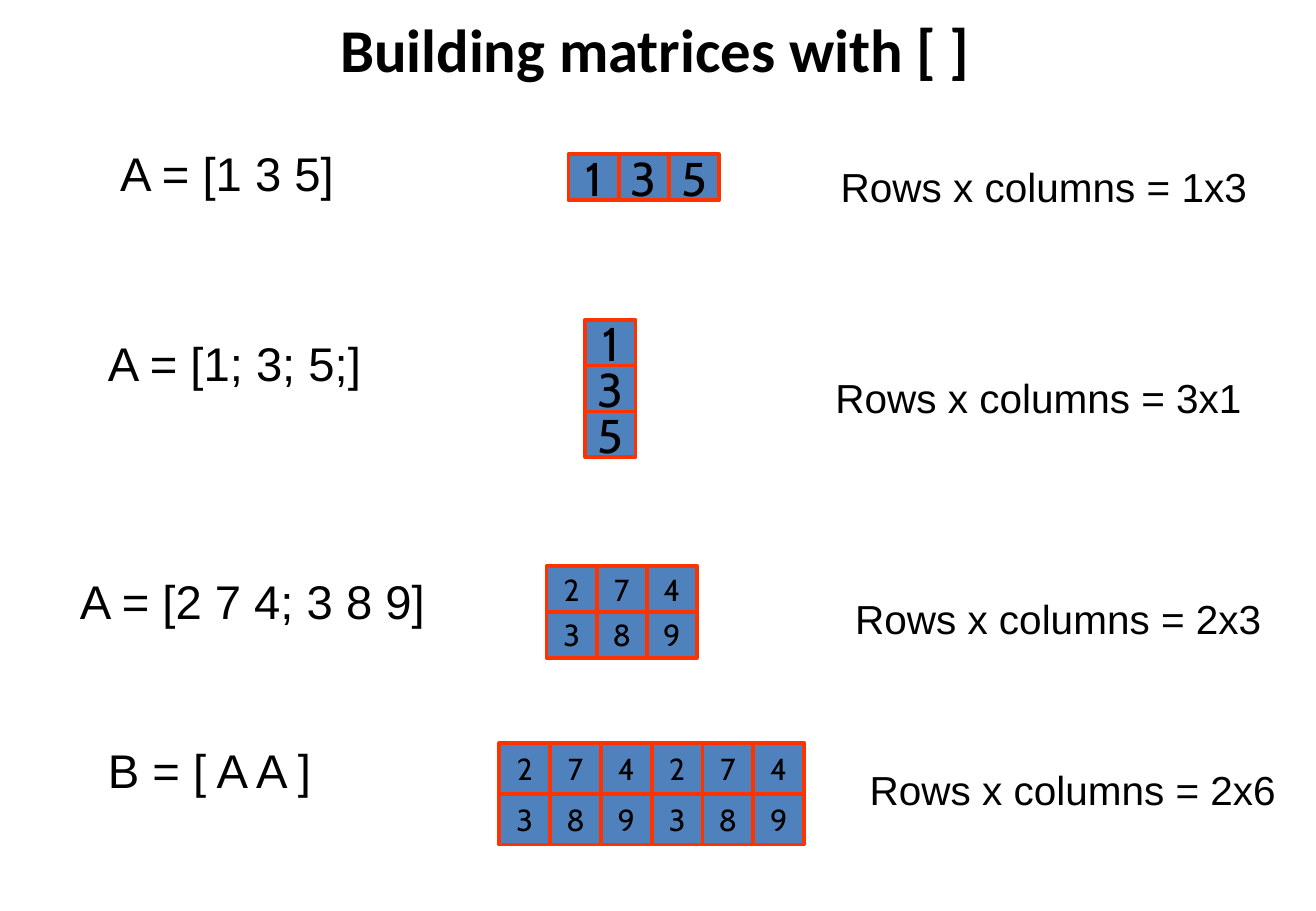
from pptx import Presentation
from pptx.dml.color import RGBColor
from pptx.enum.shapes import MSO_SHAPE as Shape
from pptx.enum.text import MSO_ANCHOR as Anchor, MSO_AUTO_SIZE as AutoSize, PP_ALIGN as Align
from pptx.util import Pt

TITLE_FONT = {"name": "Calibri", "size": Pt(36), "bold": True}
CODE_FONT = {"name": "Arial", "size": Pt(28)}
SIZE_FONT = {"name": "Arial", "size": Pt(24)}
LARGE_DIGIT = {"name": "Cabin", "size": Pt(28)}
SMALL_DIGIT = {"name": "Cabin", "size": Pt(18)}

EXAMPLES = [
    {"code": ("A = [1 3 5]", 64.1, 82.1, 142.6),
     "matrix": (["135"], 337, 91.5, 29.7, 27.2, LARGE_DIGIT),
     "size": ("Rows x columns = 1x3", 491.2, 92.2)},
    {"code": ("A = [1; 3; 5;]", 56.9, 194.4, 166.3),
     "matrix": (["1", "3", "5"], 347, 189.5, 29.7, 27.2, LARGE_DIGIT),
     "size": ("Rows x columns = 3x1", 488, 217.4)},
    {"code": ("A = [2 7 4; 3 8 9]", 40.3, 335.5, 221),
     "matrix": (["274", "389"], 324, 335.5, 29.7, 27.2, SMALL_DIGIT),
     "size": ("Rows x columns = 2x3", 499.7, 348.5)},
    {"code": ("B = [ A A ]", 56.9, 435.6, 136.1),
     "matrix": (["274274", "389389"], 296, 440.4, 30.1, 30.1, SMALL_DIGIT),
     "size": ("Rows x columns = 2x6", 508.3, 450)},
]


def color(value):
    """Turn a hex string into a colour."""
    return RGBColor.from_string(value)


def set_format(target, values):
    """Set each named attribute of the target."""
    for name, value in values.items():
        setattr(target, name, value)


def write_text(shape, text, font, align=Align.LEFT, **frame_format):
    """Write one formatted paragraph into a shape."""
    set_format(shape.text_frame, frame_format)
    paragraph = shape.text_frame.paragraphs[0]
    paragraph.text = text
    paragraph.alignment = align
    set_format(paragraph.font, font)
    paragraph.font.color.rgb = color("000000")


def add_title(slide, text):
    """Place the slide title across the top."""
    title = slide.shapes.title
    set_format(title, {"left": Pt(37.4), "top": Pt(0), "width": Pt(702), "height": Pt(57)})
    write_text(title, text, TITLE_FONT, Align.CENTER, vertical_anchor=Anchor.MIDDLE)


def add_label(slide, text, left, top, width, height, font):
    """Add a single line of text that does not wrap."""
    label = slide.shapes.add_textbox(Pt(left), Pt(top), Pt(width), Pt(height))
    write_text(label, text, font, word_wrap=False, auto_size=AutoSize.SHAPE_TO_FIT_TEXT)


def add_matrix(slide, rows, left, top, cell_width, cell_height, font):
    """Add a group of bordered cells, one for each digit."""
    group = slide.shapes.add_group_shape()
    for row, digits in enumerate(rows):
        for column, digit in enumerate(digits):
            cell = group.shapes.add_shape(
                Shape.RECTANGLE, Pt(left + column * cell_width),
                Pt(top + row * cell_height), Pt(cell_width), Pt(cell_height))
            cell.shadow.inherit = False
            cell.fill.solid()
            cell.fill.fore_color.rgb = color("4F81BD")
            cell.line.color.rgb = color("FF3300")
            cell.line.width = Pt(2.25)
            write_text(cell, digit, font, Align.CENTER,
                       word_wrap=False, vertical_anchor=Anchor.MIDDLE)


def main():
    """Build the slide and save it."""
    presentation = Presentation()
    set_format(presentation, {"slide_width": Pt(780), "slide_height": Pt(540)})
    slide = presentation.slides.add_slide(presentation.slide_layouts[5])
    add_title(slide, "Building matrices with [ ]")
    for example in EXAMPLES:
        add_label(slide, *example["code"], 41.2, CODE_FONT)
        add_matrix(slide, *example["matrix"])
        add_label(slide, *example["size"], 257.8, 36.3, SIZE_FONT)
    presentation.save("out.pptx")


if __name__ == "__main__":
    main()
